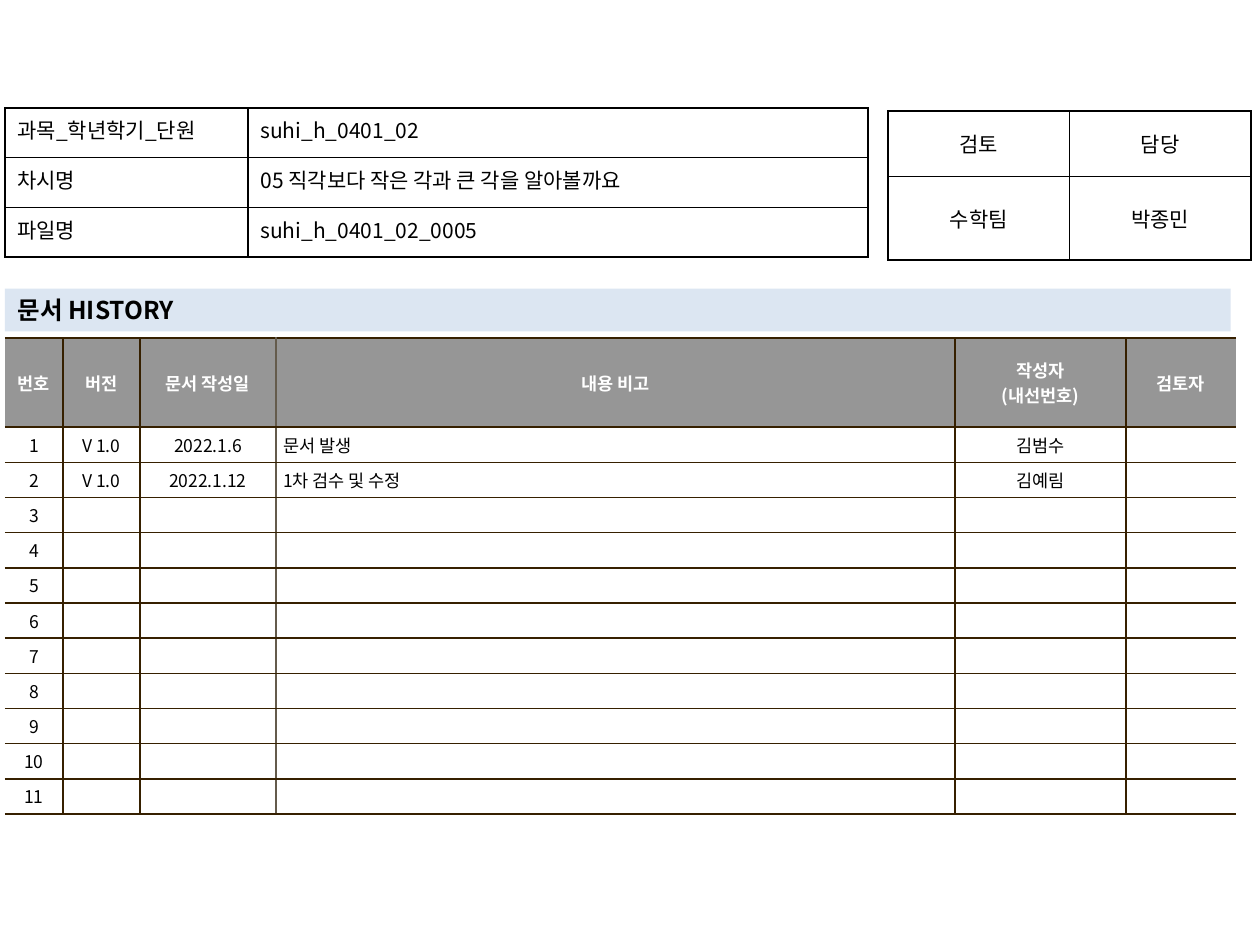
"""Builds the lesson document cover with its approval box and revision history."""
import dataclasses

import lxml.etree
import pptx
import pptx.dml.color
import pptx.enum.text
import pptx.oxml.ns
import pptx.util

Cm = pptx.util.Cm
ALIGN = pptx.enum.text.PP_ALIGN
MIDDLE = pptx.enum.text.MSO_ANCHOR.MIDDLE
TOP = pptx.enum.text.MSO_ANCHOR.TOP


@dataclasses.dataclass(frozen=True)
class Theme:
    font: str = "Noto Sans CJK KR"
    ink: str = "000000"
    paper: str = "FFFFFF"
    band: str = "DCE6F2"
    header: str = "969696"
    rule: str = "362000"
    soft_rule: str = "645B4C"
    heading: int = 14
    body: int = 12
    small: int = 10
    line: int = 1


THEME = Theme()

HEADING = "문서 HISTORY"
LESSON = [
    ("과목_학년학기_단원", "suhi_h_0401_02"),
    ("차시명", "05 직각보다 작은 각과 큰 각을 알아볼까요"),
    ("파일명", "suhi_h_0401_02_0005"),
]
APPROVAL = [("검토", "담당"), ("수학팀", "박종민")]
HISTORY_HEADER = ("번호", "버전", "문서 작성일", "내용 비고", "작성자\n(내선번호)", "검토자")
REVISIONS = [
    ("V 1.0", "2022.1.6", "문서 발생", "김범수", ""),
    ("V 1.0", "2022.1.12", "1차 검수 및 수정", "김예림", ""),
]
REVISION_SLOTS = 11
NOTE_COLUMN = 3


def rgb(color):
    return pptx.dml.color.RGBColor.from_string(color)


def style_text(frame, size, color, align, bold=False):
    for paragraph in frame.paragraphs:
        paragraph.alignment = align
        font = paragraph.font
        font.name, font.size, font.bold = THEME.font, pptx.util.Pt(size), bold
        font.color.rgb = rgb(color)
        defaults = paragraph._p.pPr.find(pptx.oxml.ns.qn("a:defRPr"))
        east_asian = lxml.etree.SubElement(defaults, pptx.oxml.ns.qn("a:ea"))
        east_asian.set("typeface", THEME.font)
        if not paragraph.runs:
            end = lxml.etree.SubElement(paragraph._p, pptx.oxml.ns.qn("a:endParaRPr"))
            end.set("sz", str(size * 100))


def set_borders(cell, colors):
    properties = cell._tc.get_or_add_tcPr()
    for position, (side, color) in enumerate(zip("LRTB", colors)):
        line = lxml.etree.Element(pptx.oxml.ns.qn(f"a:ln{side}"))
        line.set("w", str(pptx.util.Pt(THEME.line)))
        if color:
            fill = lxml.etree.SubElement(line, pptx.oxml.ns.qn("a:solidFill"))
            lxml.etree.SubElement(fill, pptx.oxml.ns.qn("a:srgbClr")).set("val", color)
        else:
            lxml.etree.SubElement(line, pptx.oxml.ns.qn("a:noFill"))
        properties.insert(position, line)


def add_grid(slide, left, top, widths, heights, rows, margins, column_rules, row_rule, style):
    grid = slide.shapes.add_table(len(rows), len(widths), Cm(left), Cm(top),
                                  Cm(sum(widths)), Cm(sum(heights))).table
    grid.first_row = grid.horz_banding = False
    for column, width in zip(grid.columns, widths):
        column.width = Cm(width)
    for r, (row, height) in enumerate(zip(rows, heights)):
        grid.rows[r].height = Cm(height)
        for c, text in enumerate(row):
            cell = grid.cell(r, c)
            size, color, align, bold, anchor, fill = style(r, c)
            cell.text = text
            cell.vertical_anchor = anchor
            cell.margin_left = cell.margin_right = Cm(margins[0])
            cell.margin_top = cell.margin_bottom = Cm(margins[1])
            if fill:
                cell.fill.solid()
                cell.fill.fore_color.rgb = rgb(fill)
            else:
                cell.fill.background()
            style_text(cell.text_frame, size, color, align, bold)
            set_borders(cell, (column_rules[c], column_rules[c + 1], row_rule, row_rule))


def lesson_style(row, column):
    align = ALIGN.LEFT if column else ALIGN.JUSTIFY
    return THEME.body, THEME.ink, align, False, TOP, None


def approval_style(row, column):
    return THEME.body, THEME.ink, ALIGN.CENTER, False, MIDDLE, None


def history_style(row, column):
    if row == 0:
        return THEME.small, THEME.paper, ALIGN.CENTER, True, MIDDLE, THEME.header
    align = ALIGN.LEFT if column == NOTE_COLUMN else ALIGN.CENTER
    return THEME.small, THEME.ink, align, False, MIDDLE, THEME.paper


def add_heading(slide):
    heading = slide.shapes.title
    heading.left, heading.top, heading.width, heading.height = Cm(0.1), Cm(5.82), Cm(24.71), Cm(0.86)
    heading.fill.solid()
    heading.fill.fore_color.rgb = rgb(THEME.band)
    frame = heading.text_frame
    frame.text = HEADING
    frame.auto_size = pptx.enum.text.MSO_AUTO_SIZE.NONE
    frame.vertical_anchor = MIDDLE
    style_text(frame, THEME.heading, THEME.ink, ALIGN.LEFT, True)


def main():
    deck = pptx.Presentation()
    deck.slide_width, deck.slide_height = Cm(25.4), Cm(19.05)
    slide = deck.slides.add_slide(deck.slide_layouts.get_by_name("Title Only"))
    add_heading(slide)

    blanks = [("",) * 5] * (REVISION_SLOTS - len(REVISIONS))
    numbered = [(str(n), *entry) for n, entry in enumerate(REVISIONS + blanks, 1)]
    history_rules = [None, THEME.rule, THEME.rule, THEME.soft_rule, THEME.rule, THEME.rule, None]
    add_grid(slide, 0.1, 6.81, [1.17, 1.55, 2.74, 13.69, 3.45, 2.21],
             [1.8] + [0.63] * REVISION_SLOTS, [HISTORY_HEADER] + numbered,
             (0.15, 0.1), history_rules, THEME.rule, history_style)
    box_rules = [THEME.ink] * 3
    add_grid(slide, 17.9, 2.24, [3.66] * 2, [1.32, 1.68], APPROVAL,
             (0.25, 0.13), box_rules, THEME.ink, approval_style)
    add_grid(slide, 0.1, 2.18, [4.9, 12.5], [1] * 3, LESSON,
             (0.25, 0.13), box_rules, THEME.ink, lesson_style)
    deck.save("out.pptx")


if __name__ == "__main__":
    main()
